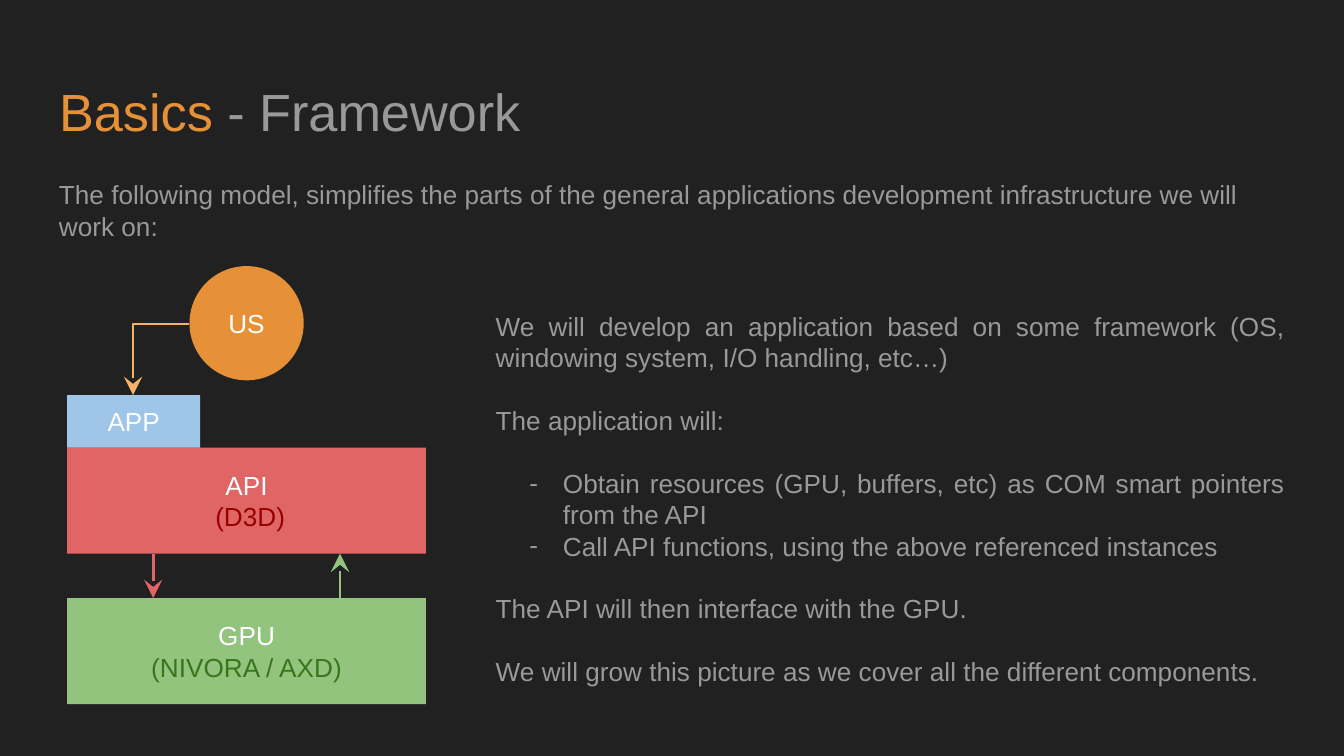
from lxml.etree import SubElement
from pptx import Presentation
from pptx.dml.color import RGBColor
from pptx.enum.shapes import MSO_CONNECTOR, MSO_SHAPE
from pptx.enum.text import MSO_ANCHOR, MSO_AUTO_SIZE, PP_ALIGN
from pptx.oxml.ns import qn
from pptx.util import Inches, Pt

HUES = {
    "back": "212121", "gray": "999999", "white": "FFFFFF",
    "orange": "E69138", "peach": "F6B26B", "blue": "9FC5E8",
    "red": "E06666", "wine": "990000", "green": "93C47D", "moss": "38761D",
}
LEFT, WIDE = 0.5, 2.67
TALL = 0.79
API_TOP, GPU_TOP = 3.33, 4.45


def hue(name):
    return RGBColor.from_string(HUES[name])


def write(frame, paras, size=14, align=PP_ALIGN.LEFT, anchor=MSO_ANCHOR.TOP):
    frame.word_wrap = True
    frame.auto_size = MSO_AUTO_SIZE.NONE
    frame.vertical_anchor = anchor
    frame.margin_left = frame.margin_right = Inches(0.1)
    frame.margin_top = frame.margin_bottom = Inches(0.1)
    for i, runs in enumerate(paras):
        para = frame.paragraphs[0] if i == 0 else frame.add_paragraph()
        para.alignment = align
        for text, color in runs:
            run = para.add_run()
            run.text = text
            run.font.size = Pt(size)
            run.font.name = "Arial"
            run.font.color.rgb = hue(color)


def add_text(slide, box, paras, **style):
    shape = slide.shapes.add_textbox(*map(Inches, box))
    write(shape.text_frame, paras, **style)
    return shape.text_frame


def add_block(slide, kind, box, fill, paras):
    shape = slide.shapes.add_shape(kind, *map(Inches, box))
    shape.shadow.inherit = False
    shape.fill.solid()
    shape.fill.fore_color.rgb = hue(fill)
    shape.line.fill.background()
    write(shape.text_frame, paras, align=PP_ALIGN.CENTER,
          anchor=MSO_ANCHOR.MIDDLE)


def add_arrow(slide, start, end, color, width=1.5, bent=False, tip="tailEnd"):
    kind = MSO_CONNECTOR.ELBOW if bent else MSO_CONNECTOR.STRAIGHT
    line = slide.shapes.add_connector(kind, *map(Inches, start + end))
    line.line.color.rgb = hue(color)
    line.line.width = Pt(width)
    props = line._element.spPr
    if bent:
        props.find(qn("a:prstGeom")).set("prst", "bentConnector2")
    SubElement(props.find(qn("a:ln")), qn(f"a:{tip}"),
               type="stealth", w="lg", len="lg")
    SubElement(props, qn("a:effectLst"))


def add_dash(para):
    props = para._p.get_or_add_pPr()
    props.set("marL", str(Inches(0.5)))
    props.set("indent", str(Inches(-0.25)))
    tint = SubElement(props, qn("a:buClr"))
    SubElement(tint, qn("a:srgbClr"), val=HUES["gray"])
    SubElement(props, qn("a:buFont"), typeface="Arial")
    SubElement(props, qn("a:buChar"), char="-")


def add_title(slide):
    title = slide.shapes.title
    title.left, title.top = Inches(0.34), Inches(0.49)
    title.width, title.height = Inches(9.32), Inches(0.63)
    write(title.text_frame,
          [[("Basics ", "orange"), ("- Framework", "gray")]], size=28)


def add_model(slide):
    rect = MSO_SHAPE.RECTANGLE
    add_block(slide, rect, (LEFT, GPU_TOP, WIDE, TALL), "green",
              [[("GPU", "white")], [("(NIVORA / AXD)", "moss")]])
    add_block(slide, rect, (LEFT, API_TOP, WIDE, TALL), "red",
              [[("API", "white")], [(" ", "white"), ("(D3D)", "wine")]])
    add_block(slide, MSO_SHAPE.OVAL, (1.41, 1.98, 0.85, 0.85), "orange",
              [[("US", "white")]])
    base = API_TOP + TALL
    add_arrow(slide, (1.14, base), (1.14, GPU_TOP), "red")
    add_arrow(slide, (2.53, base), (2.53, GPU_TOP), "green", tip="headEnd")
    add_arrow(slide, (1.41, 2.41), (0.99, 2.94), "peach", 0.75, bent=True)
    add_block(slide, rect, (LEFT, 2.94, 0.99, 0.39), "blue",
              [[("APP", "white")]])


def add_notes(slide):
    lines = [
        "We will develop an application based on some framework "
        "(OS, windowing system, I/O handling, etc…)",
        "The application will:",
        "Obtain resources (GPU, buffers, etc) as COM smart pointers "
        "from the API",
        "Call API functions, using the above referenced instances",
        "The API will then interface with the GPU.",
        "We will grow this picture as we cover all the different components.",
    ]
    frame = add_text(slide, (3.59, 2.1, 6.07, 3.22),
                     [[(line, "gray")] for line in lines],
                     align=PP_ALIGN.JUSTIFY, anchor=MSO_ANCHOR.MIDDLE)
    paras = frame.paragraphs
    for i in (1, 2, 4, 5):
        paras[i].space_before = Pt(16.8)
    for para in paras[2:4]:
        add_dash(para)


def main():
    deck = Presentation()
    deck.slide_width, deck.slide_height = Inches(10), Inches(10 * 9 / 16)
    slide = deck.slides.add_slide(deck.slide_layouts[5])
    slide.background.fill.solid()
    slide.background.fill.fore_color.rgb = hue("back")
    add_title(slide)
    add_text(slide, (0.34, 1.23, 9.32, 0.63),
             [[("The following model, simplifies the parts of the general "
                "applications development infrastructure we will work on:",
                "gray")]])
    add_model(slide)
    add_notes(slide)
    deck.save("out.pptx")


if __name__ == "__main__":
    main()
